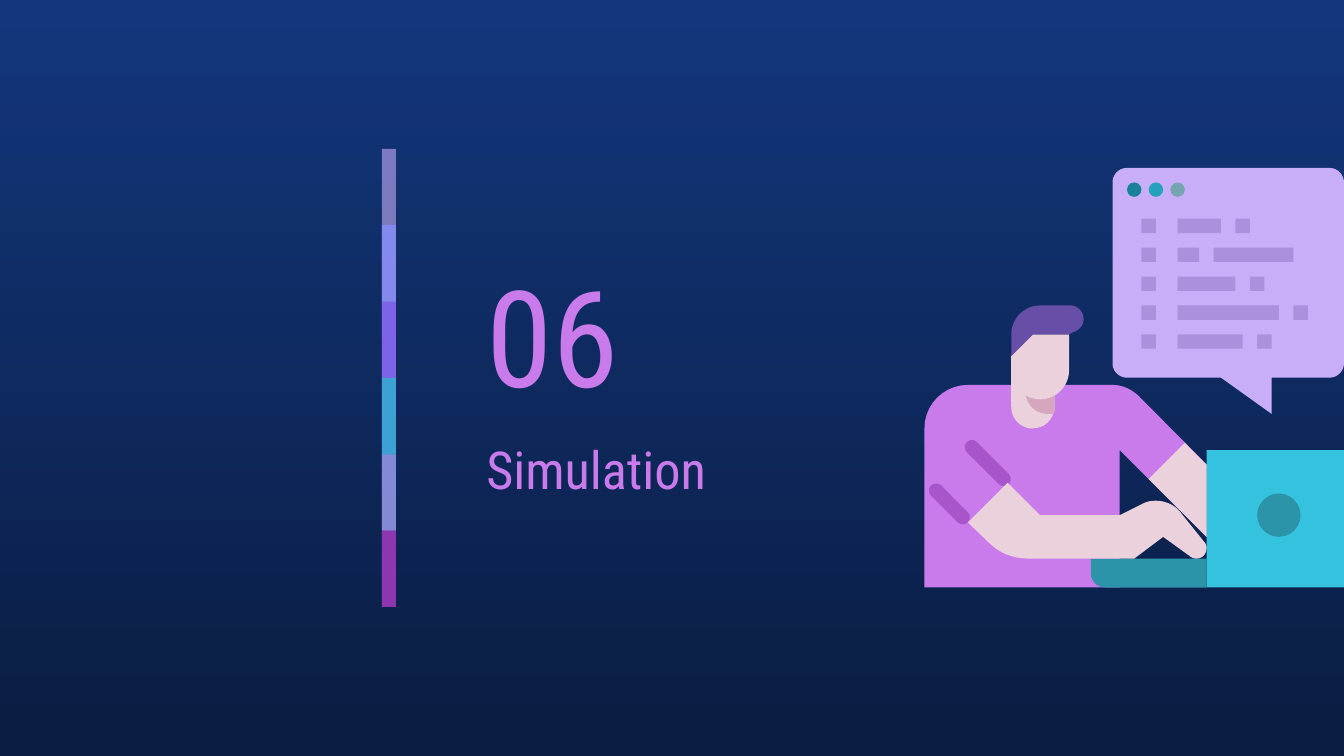
from lxml.etree import SubElement
from pptx import Presentation
from pptx.dml.color import RGBColor
from pptx.enum.shapes import MSO_SHAPE
from pptx.enum.text import MSO_ANCHOR
from pptx.oxml.ns import qn
from pptx.util import Pt

NAVY_TOP, NAVY_BOTTOM = RGBColor(0x13, 0x36, 0x7C), RGBColor(0x0A, 0x1D, 0x42)
LILAC = RGBColor(0xC8, 0xAE, 0xF8)
PERIWINKLE = RGBColor(0x87, 0x8F, 0xFF)
VIOLET = RGBColor(0x91, 0x54, 0xF8)
CYAN = RGBColor(0x35, 0xC2, 0xDF)
ORCHID = RGBColor(0xCA, 0x7B, 0xEB)
MAGENTA = RGBColor(0x97, 0x2C, 0xB4)
PLUM = RGBColor(0xA8, 0x55, 0xCB)
TEAL = RGBColor(0x2B, 0x94, 0xA9)
SKIN = RGBColor(0xEA, 0xD1, 0xDC)
SKIN_SHADE = RGBColor(0xD5, 0xA6, 0xBD)
CODE = RGBColor(0xAB, 0x90, 0xDE)
HAIR = RGBColor(0x67, 0x4E, 0xA7)
DOTS = [RGBColor(0x19, 0x82, 0x98), RGBColor(0x22, 0xA2, 0xBC), RGBColor(0x76, 0xA5, 0xAF)]

FONT = "Roboto Condensed"
TITLES = [("06", 72, (253.5, 130.3, 126, 97.2)),
          ("Simulation", 28, (253.5, 226.8, 206.6, 48.2))]

# Stripe: colour and opacity in percent; each bar runs on under the next one
STRIPE = [(LILAC, 59), (PERIWINKLE, 74), (VIOLET, 53), (CYAN, 76), (ORCHID, 56), (MAGENTA, 74)]
STRIPE_X, STRIPE_Y, STRIPE_W, STRIPE_STEP = 204.6, 79.8, 7.5, 40.9

# The illustration sits on a grid of 58 by 58 units.
# In an outline, a pair is a corner and six numbers are a Bezier curve.
UNIT, LEFT, TOP = 3.875, 495.25, 90
TORSO = [(6, 30), (2.7, 30, 0, 32.7, 0, 36), (0, 58), (27, 58), (27, 39), (39, 51), (39, 41),
         (29.6, 31.5), (28.6, 30.6, 27.4, 30, 26, 30)]
SLEEVE_FOLDS = [(3.45, 46.45, 7.2), (8.75, 40.8, 8.2)]  # centre x, centre y, length
LAPTOP_BASE = [(23, 54), (23, 56), (23, 57.1, 23.9, 58, 25, 58), (39, 58), (39, 54)]
NECK = [(12, 27), (12, 33), (12, 34.5, 13, 35.7, 14.5, 36), (15, 36),
        (16.3, 36, 17.4, 35.2, 17.8, 34), (18, 33.7, 18, 33.4, 18, 33), (18, 27)]
NECK_SHADE = [(14, 27), (14, 31), (14, 32.7, 15.4, 34, 17, 34), (17.8, 34),
              (18, 33.7, 18, 33.4, 18, 33), (18, 27)]
FOREARM = [(11.5, 43.5), (6, 49), (8.8, 51.7), (10.3, 53.2, 12.1, 54, 14.4, 54), (29, 54),
           (33, 51), (36.6, 53.6), (36.9, 53.9, 37.3, 54, 37.6, 54),
           (38.4, 54, 39, 53.4, 39, 52.5), (39, 52.2, 38.9, 51.9, 38.6, 51.6), (35.3, 47.5),
           (34.6, 46.6, 33.3, 46, 32, 46), (31.3, 46, 30.7, 46.1, 30, 46.5), (27, 48), (16, 48)]
FAR_ARM = [(36, 38), (31, 43), (39, 51), (39, 41)]
BUBBLE = [(28, 0), (26.9, 0, 26, 0.9, 26, 2), (26, 27), (26, 28.1, 26.9, 29, 28, 29), (41, 29),
          (48, 34), (48, 29), (56, 29), (57.1, 29, 58, 28.1, 58, 27), (58, 2),
          (58, 0.9, 57.1, 0, 56, 0)]
FACE = [(15, 23), (12, 26), (12, 28), (12, 30.2, 13.8, 32, 16, 32),
        (18.2, 32, 20, 30.2, 20, 28), (20, 23)]
HAIRCUT = [(16, 19), (13.8, 19, 12, 20.8, 12, 23), (12, 26), (15, 23), (20, 23), (21, 22.5),
           (21.6, 22.2, 22, 21.6, 22, 20.9), (22, 19.8, 21.1, 19, 20.2, 19)]
CODE_LINES = [[(35, 6), (43, 2)], [(35, 3), (40, 11)], [(35, 8), (45, 2)],
              [(35, 14), (51, 2)], [(35, 9), (46, 2)]]  # start, width
CODE_MARK, CODE_TOP, CODE_STEP = (30, 2), 7, 4


def paint(sp, color, opacity=100):
    sp.shadow.inherit = False
    sp.line.fill.background()
    sp.fill.solid()
    sp.fill.fore_color.rgb = color
    if opacity < 100:
        clr = sp.fill._xPr.find(qn("a:solidFill"))[0]
        SubElement(clr, qn("a:alpha")).set("val", str(opacity * 1000))


def add_preset(s, kind, x, y, w, h, color, opacity=100):
    sp = s.shapes.add_shape(kind, Pt(x), Pt(y), Pt(w), Pt(h))
    paint(sp, color, opacity)
    return sp


def add_on_grid(s, kind, x, y, w, h, color):
    return add_preset(s, kind, LEFT + x * UNIT, TOP + y * UNIT, w * UNIT, h * UNIT, color)


def flatten(outline, steps=10):
    """Turn corners and Bezier curves into a plain list of points."""
    points = []
    for part in outline:
        if len(part) == 2:
            points.append(part)
            continue
        x0, y0 = points[-1]
        x1, y1, x2, y2, x3, y3 = part
        for i in range(1, steps + 1):
            t = i / steps
            a, b, c, d = (1 - t) ** 3, 3 * t * (1 - t) ** 2, 3 * t * t * (1 - t), t ** 3
            points.append((a * x0 + b * x1 + c * x2 + d * x3, a * y0 + b * y1 + c * y2 + d * y3))
    return points


def add_outline(s, outline, color):
    points = [(Pt(LEFT + x * UNIT), Pt(TOP + y * UNIT)) for x, y in flatten(outline)]
    builder = s.shapes.build_freeform(*points[0])
    builder.add_line_segments(points[1:], close=True)
    paint(builder.convert_to_shape(), color)


def add_text(s, text, box, *, size, color, font=FONT):
    tf = s.shapes.add_textbox(*map(Pt, box)).text_frame
    tf.word_wrap = True
    tf.vertical_anchor = MSO_ANCHOR.MIDDLE
    tf.margin_left = tf.margin_right = tf.margin_top = tf.margin_bottom = Pt(7.2)
    r = tf.paragraphs[0].add_run()
    r.text = text
    r.font.size, r.font.name = Pt(size), font
    r.font.color.rgb = color


def draw_stripe(s):
    last = len(STRIPE) - 1
    for i, (color, opacity) in enumerate(STRIPE):
        height = STRIPE_STEP * (1 if i == last else 2)
        add_preset(s, MSO_SHAPE.RECTANGLE, STRIPE_X, STRIPE_Y + i * STRIPE_STEP,
                   STRIPE_W, height, color, opacity)


def draw_programmer(s):
    add_outline(s, TORSO, ORCHID)
    for x, y, length in SLEEVE_FOLDS:
        fold = add_on_grid(s, MSO_SHAPE.ROUNDED_RECTANGLE, x - length / 2, y - 1, length, 2, PLUM)
        fold.adjustments[0] = 0.5
        fold.rotation = 45
    add_on_grid(s, MSO_SHAPE.RECTANGLE, 39, 39, 19, 19, CYAN)
    for outline, color in [(LAPTOP_BASE, TEAL), (NECK, SKIN), (NECK_SHADE, SKIN_SHADE),
                           (FOREARM, SKIN), (FAR_ARM, SKIN), (FACE, SKIN), (HAIRCUT, HAIR)]:
        add_outline(s, outline, color)
    add_on_grid(s, MSO_SHAPE.OVAL, 46, 45, 6, 6, TEAL)


def draw_code_bubble(s):
    add_outline(s, BUBBLE, LILAC)
    for i, line in enumerate(CODE_LINES):
        for x, w in [CODE_MARK] + line:
            add_on_grid(s, MSO_SHAPE.RECTANGLE, x, CODE_TOP + i * CODE_STEP, w, 2, CODE)
    for i, color in enumerate(DOTS):
        add_on_grid(s, MSO_SHAPE.OVAL, 28 + 3 * i, 2, 2, 2, color)


def main():
    prs = Presentation()
    prs.slide_width, prs.slide_height = Pt(720), Pt(405)
    s = prs.slides.add_slide(prs.slide_layouts[6])
    fill = s.background.fill
    fill.gradient()
    fill.gradient_angle = 270
    for stop, color, position in zip(fill.gradient_stops, (NAVY_TOP, NAVY_BOTTOM), (0, 1)):
        stop.color.rgb = color
        stop.position = position
    draw_stripe(s)
    for text, size, box in TITLES:
        add_text(s, text, box, size=size, color=ORCHID)
    draw_programmer(s)
    draw_code_bubble(s)
    prs.save("out.pptx")


if __name__ == "__main__":
    main()
